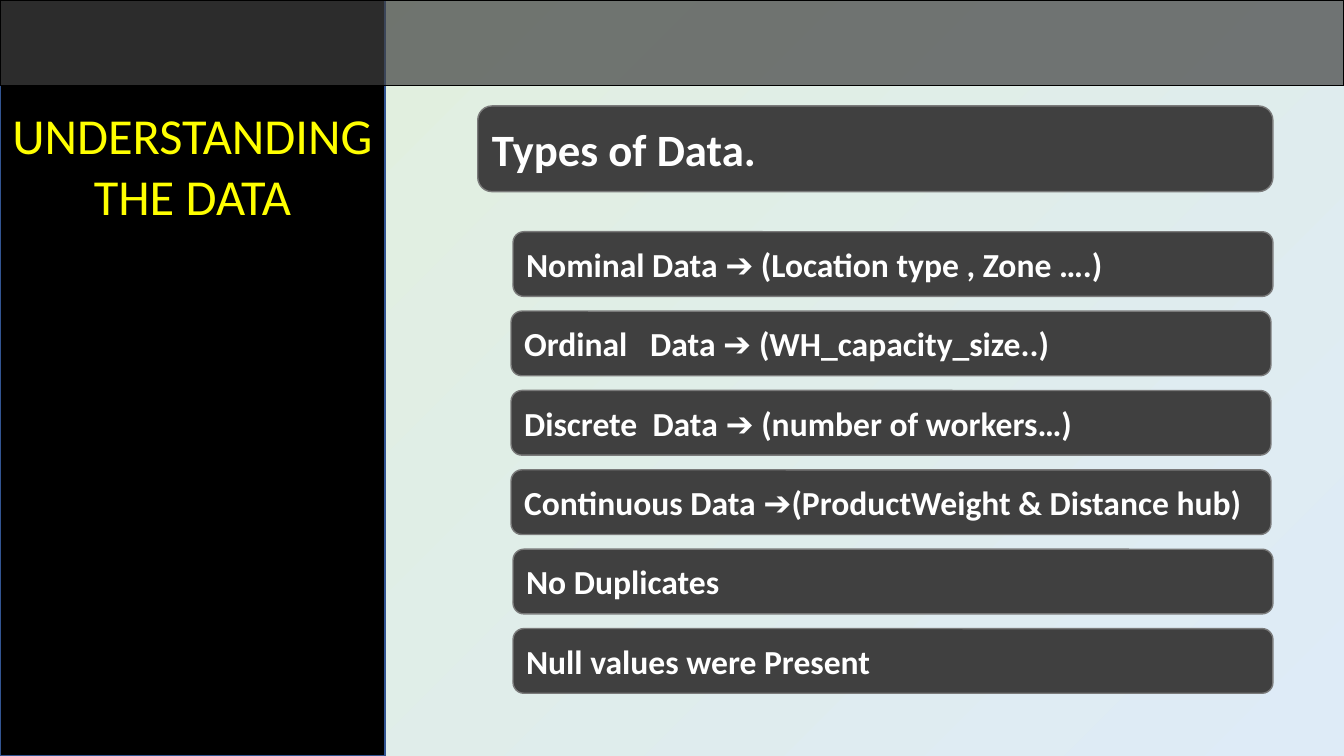
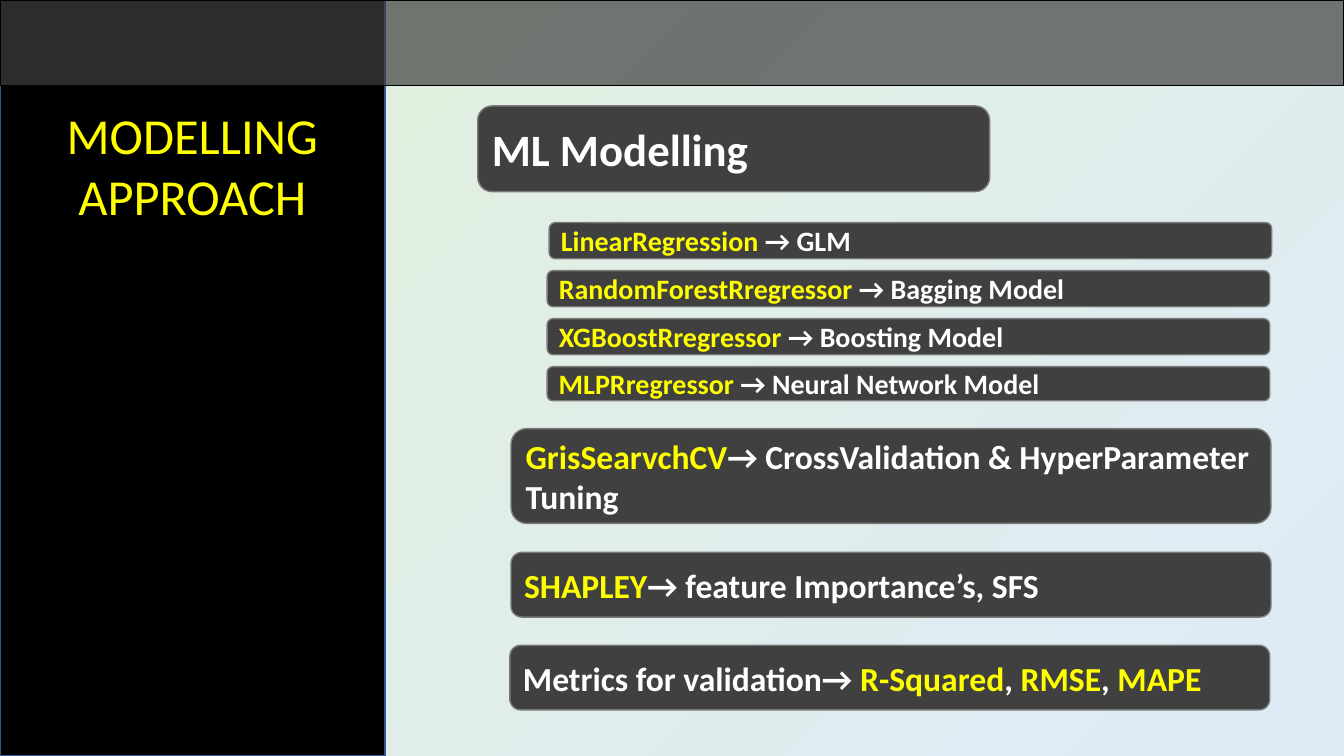
from dataclasses import dataclass

from lxml import etree
from pptx import Presentation
from pptx.dml.color import RGBColor
from pptx.enum import shapes, text
from pptx.oxml import ns
from pptx.util import Cm, Pt

SLIDE_W, SLIDE_H = 33.87, 19.05
SIDEBAR_W = 9.7
BAND_H = 2.16
HEADING_LEFT, HEADING_TOP, HEADING_H = 12.04, 2.67, 2.16
ROW_W, ROW_H = 19.15, 1.63
MODEL_W, MODEL_H = 18.21, 0.91

BLACK, WHITE, YELLOW = "000000", "FFFFFF", "FFFF00"
CHARCOAL, PANEL_EDGE, SIDEBAR_EDGE = "404040", "7A7A7A", "325491"
BACKDROP = ("E2F0D9", "DEEBF7")

PANEL_FRAME = {"word_wrap": True, "vertical_anchor": text.MSO_ANCHOR.MIDDLE}
TITLE_FRAME = {"word_wrap": True, "auto_size": text.MSO_AUTO_SIZE.SHAPE_TO_FIT_TEXT}
PANEL_FONT = {"name": "Calibri", "bold": True}
TITLE_FONT = {"name": "Calibri", "size": Pt(36)}


@dataclass(frozen=True)
class Box:
    left: float
    top: float
    width: float
    height: float

    def lengths(self) -> list:
        return [Cm(v) for v in (self.left, self.top, self.width, self.height)]


@dataclass(frozen=True)
class Span:
    words: str
    color: str = WHITE


@dataclass(frozen=True)
class Panel:
    box: Box
    spans: tuple[Span, ...]
    size: int = 24


@dataclass(frozen=True)
class Topic:
    title: str
    heading: Panel
    grouped: list[Panel]
    separate: list[Panel]


def rgb(value: str) -> RGBColor:
    return RGBColor.from_string(value)


def apply(target, values: dict) -> None:
    for name, value in values.items():
        setattr(target, name, value)


def heading(words: str, width: float) -> Panel:
    return Panel(Box(HEADING_LEFT, HEADING_TOP, width, HEADING_H), (Span(words),), 32)


def data_row(index: int, left: float, words: str) -> Panel:
    return Panel(Box(left, 5.84 + 2 * index, ROW_W, ROW_H), (Span(words),))


def model_row(index: int, left: float, model: str, kind: str, height: float = MODEL_H) -> Panel:
    spans = (Span(f"{model} ", YELLOW), Span(f"→ {kind}"))
    return Panel(Box(left, 5.61 + 1.21 * index, MODEL_W, height), spans, 20)


def add_block(parent, kind, box: Box, fill: str, edge: str):
    block = parent.add_shape(kind, *box.lengths())
    block.shadow.inherit = False
    block.fill.solid()
    block.fill.fore_color.rgb = rgb(fill)
    block.line.color.rgb = rgb(edge)
    block.line.width = Pt(1)
    return block


def write(paragraph, spans: tuple[Span, ...], font: dict) -> None:
    for span in spans:
        run = paragraph.add_run()
        run.text = span.words
        apply(run.font, font)
        run.font.color.rgb = rgb(span.color)


def add_panel(parent, panel: Panel) -> None:
    block = add_block(parent, shapes.MSO_SHAPE.ROUNDED_RECTANGLE, panel.box, CHARCOAL, PANEL_EDGE)
    apply(block.text_frame, PANEL_FRAME)
    paragraph = block.text_frame.paragraphs[0]
    paragraph.alignment = text.PP_ALIGN.LEFT
    write(paragraph, panel.spans, PANEL_FONT | {"size": Pt(panel.size)})


def paint_backdrop(slide) -> None:
    fill = slide.background.fill
    fill.gradient()
    fill.gradient_angle = 315
    for stop, color in zip(fill.gradient_stops, BACKDROP):
        stop.color.rgb = rgb(color)


def add_sidebar(slide, title: str) -> None:
    sidebar = slide.shapes.add_group_shape().shapes
    add_block(sidebar, shapes.MSO_SHAPE.RECTANGLE, Box(0, 0, SIDEBAR_W, SLIDE_H), BLACK, SIDEBAR_EDGE)
    caption = sidebar.add_textbox(*Box(0, 2.51, SIDEBAR_W, 3.33).lengths())
    apply(caption.text_frame, TITLE_FRAME)
    paragraph = caption.text_frame.paragraphs[0]
    paragraph.alignment = text.PP_ALIGN.CENTER
    write(paragraph, (Span(title, YELLOW),), TITLE_FONT)


def add_band(slide) -> None:
    band = add_block(slide.shapes, shapes.MSO_SHAPE.RECTANGLE, Box(0, 0, SLIDE_W, BAND_H), CHARCOAL, BLACK)
    tint = band.fill._xPr.find(ns.qn("a:solidFill")).find(ns.qn("a:srgbClr"))
    etree.SubElement(tint, ns.qn("a:alpha"), val="70000")


def add_topic(deck, topic: Topic) -> None:
    slide = deck.slides.add_slide(deck.slide_layouts[6])
    paint_backdrop(slide)
    add_sidebar(slide, topic.title)
    add_band(slide)
    add_panel(slide.shapes, topic.heading)
    group = slide.shapes.add_group_shape().shapes
    for panel in topic.grouped:
        add_panel(group, panel)
    for panel in topic.separate:
        add_panel(slide.shapes, panel)


TOPICS = [
    Topic(
        "UNDERSTANDING THE DATA",
        heading("Types of Data.", 20.04),
        [
            data_row(0, 12.93, "Nominal Data ➔ (Location type , Zone ….)"),
            data_row(1, 12.88, "Ordinal   Data ➔ (WH_capacity_size..)"),
            data_row(2, 12.88, "Discrete  Data ➔ (number of workers…)"),
            data_row(3, 12.88, "Continuous Data ➔(ProductWeight & Distance hub)"),
        ],
        [
            data_row(4, 12.93, "No Duplicates"),
            data_row(5, 12.93, "Null values were Present"),
        ],
    ),
    Topic(
        "MODELLING APPROACH",
        heading("ML Modelling", 12.9),
        [
            model_row(0, 13.84, "LinearRegression", "GLM"),
            model_row(1, 13.79, "RandomForestRregressor", "Bagging Model"),
            model_row(2, 13.79, "XGBoostRregressor", "Boosting Model"),
            model_row(3, 13.79, "MLPRregressor", "Neural Network Model", 0.86),
        ],
        [
            Panel(
                Box(12.88, 10.8, ROW_W, 2.39),
                (Span("GrisSearvchCV", YELLOW), Span("→ CrossValidation & HyperParameter Tuning")),
            ),
            Panel(
                Box(12.88, 13.92, ROW_W, ROW_H),
                (Span("SHAPLEY", YELLOW), Span("→ feature Importance’s, SFS")),
            ),
            Panel(
                Box(12.85, 16.26, ROW_W, ROW_H),
                (
                    Span("Metrics for validation→ "),
                    Span("R-Squared", YELLOW),
                    Span(", "),
                    Span("RMSE", YELLOW),
                    Span(", "),
                    Span("MAPE", YELLOW),
                ),
            ),
        ],
    ),
]


def main() -> None:
    deck = Presentation()
    apply(deck, {"slide_width": Cm(SLIDE_W), "slide_height": Cm(SLIDE_H)})
    for topic in TOPICS:
        add_topic(deck, topic)
    deck.save("out.pptx")


if __name__ == "__main__":
    main()
